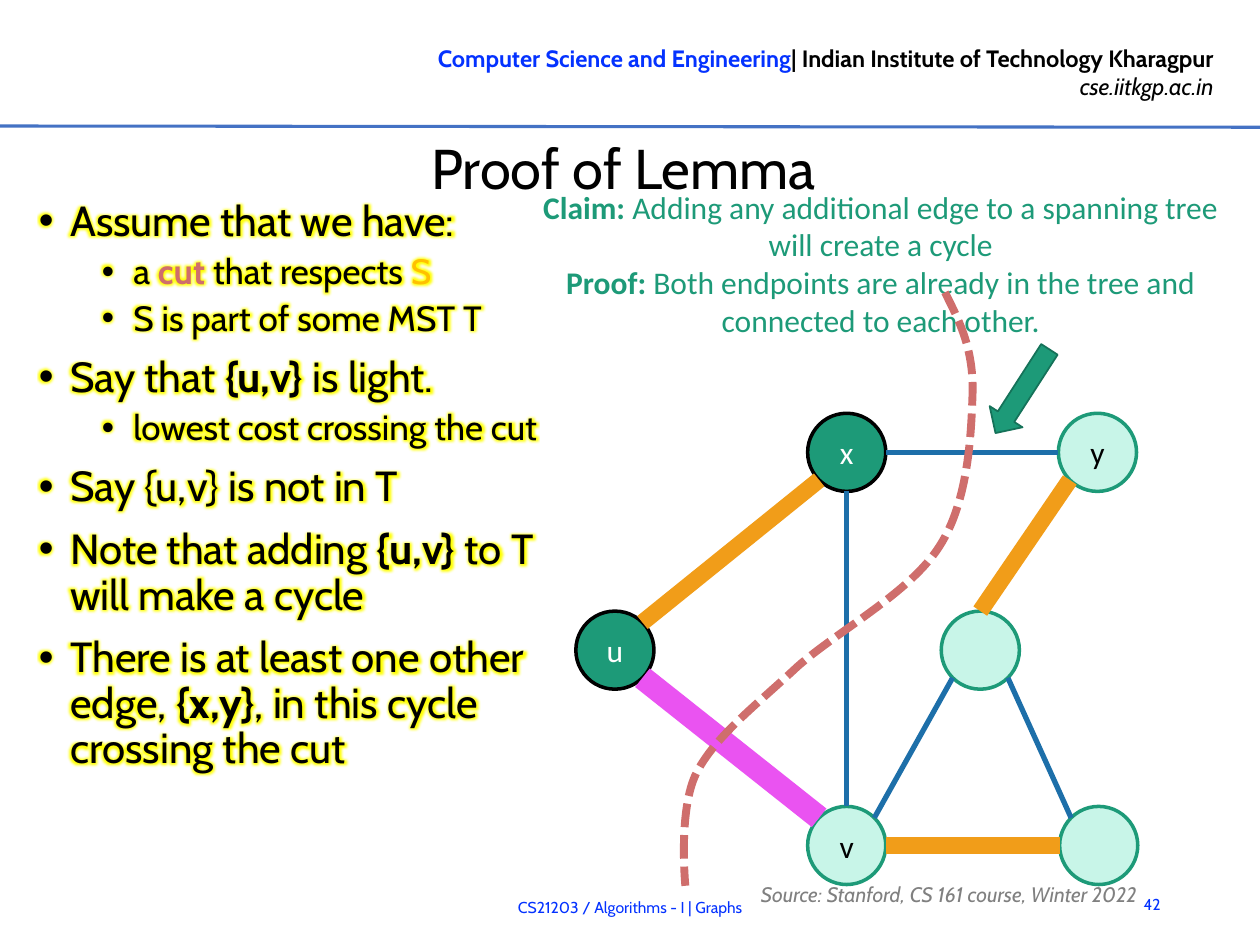
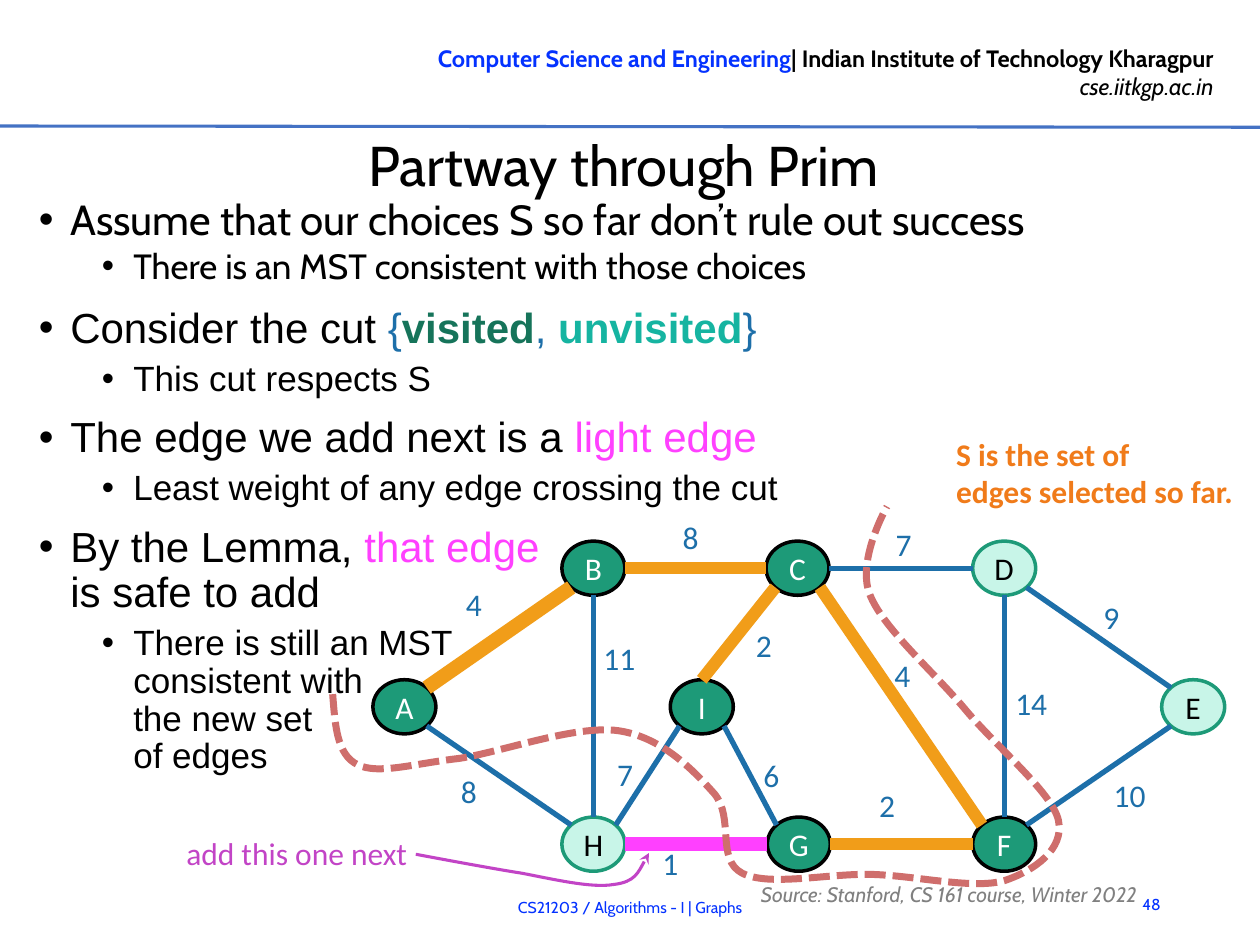
from dataclasses import dataclass
from typing import NamedTuple

from lxml.etree import SubElement
from pptx import Presentation
from pptx.dml.color import RGBColor
from pptx.enum.dml import MSO_LINE
from pptx.enum.shapes import MSO_CONNECTOR, MSO_SHAPE
from pptx.enum.text import MSO_ANCHOR as Anchor, PP_ALIGN as Align
from pptx.oxml.ns import qn
from pptx.util import Inches, Pt

# Shared palette and fonts
BLACK, WHITE, GREY = "000000", "FFFFFF", "808080"
LINK_BLUE, RULE_BLUE, EDGE_BLUE = "0432FF", "4472C4", "1D6FA9"
GREEN, DARK_GREEN, MINT, TEAL = "1D9A78", "157259", "C8F5E8", "16B4A1"
ORANGE, ROSE, PINK, PURPLE = "F19D19", "CF6E6C", "FF40FF", "C244C6"
VIOLET, GLOW_YELLOW = "EA53F1", "FFFF00"
CABIN, CALIBRI, ARIAL = "Cabin", "Calibri", "Arial"
DIAGONAL = 0.7071
COMPASS = {"n": (0, -1), "s": (0, 1), "w": (-1, 0), "e": (1, 0)}


class Run(NamedTuple):
    text: str
    color: str | None = None
    bold: bool = False


@dataclass
class Bullet:
    runs: list[Run]
    level: int = 0
    font: str = CABIN
    exact: bool = False


class Node(NamedTuple):
    x: float
    y: float
    visited: bool = False
    label: str = ""


class Edge(NamedTuple):
    start: str
    start_side: str
    end: str
    end_side: str
    color: str = EDGE_BLUE
    width: float = 3


class Label(NamedTuple):
    text: str
    x: float
    y: float


def rgb(color: str) -> RGBColor:
    return RGBColor.from_string(color)


# Text
def add_glow(run) -> None:
    effects = SubElement(run._r.get_or_add_rPr(), qn("a:effectLst"))
    glow = SubElement(effects, qn("a:glow"), rad=str(Pt(5)))
    SubElement(glow, qn("a:srgbClr"), val=GLOW_YELLOW)
    run.font._element.find(qn("a:solidFill")).addnext(effects)


def write_runs(paragraph, runs, *, size, font=CABIN, color=BLACK, italic=False, glow=False):
    for part in runs:
        for index, text in enumerate(part.text.split("\n")):
            if index:
                paragraph.add_line_break()
            if not text:
                continue
            run = paragraph.add_run()
            run.text = text
            run.font.size, run.font.name = Pt(size), font
            run.font.bold, run.font.italic = part.bold, italic
            run.font.color.rgb = rgb(part.color or color)
            if glow:
                add_glow(run)


def add_box(slide, box, *, anchor=Anchor.TOP):
    shape = slide.shapes.add_textbox(*map(Inches, box))
    shape.text_frame.word_wrap = True
    shape.text_frame.vertical_anchor = anchor
    return shape.text_frame


def next_paragraph(frame, index: int):
    return frame.add_paragraph() if index else frame.paragraphs[0]


def add_text(slide, box, lines, *, align=Align.LEFT, anchor=Anchor.TOP, spacing=None, **style):
    """Write lines, each a string or a list of runs, in one style."""
    frame = add_box(slide, box, anchor=anchor)
    for index, line in enumerate(lines):
        paragraph = next_paragraph(frame, index)
        paragraph.alignment = align
        if spacing:
            paragraph.line_spacing = Pt(spacing)
        write_runs(paragraph, [Run(line)] if isinstance(line, str) else line, **style)
    return frame


def add_bullets(slide, box, bullets: list[Bullet], *, glow: bool = False) -> None:
    frame = add_box(slide, box)
    for index, bullet in enumerate(bullets):
        paragraph = next_paragraph(frame, index)
        properties = paragraph._p.get_or_add_pPr()
        properties.set("marL", str(Inches(0.25 + 0.5 * bullet.level)))
        properties.set("indent", str(Inches(-0.25)))
        SubElement(properties, qn("a:buFont"), typeface=ARIAL)
        SubElement(properties, qn("a:buChar"), char="•")
        paragraph.line_spacing = Pt(20) if bullet.exact else 0.9
        if index:
            paragraph.space_before = Pt(2 if bullet.exact else 5 if bullet.level else 10)
        if bullet.exact:
            paragraph.space_after = Pt(2)
        size = 20 if bullet.level else 24
        write_runs(paragraph, bullet.runs, size=size, font=bullet.font, glow=glow)


# Lines and shapes
def add_line(slide, start, end, color: str, width: float) -> None:
    line = slide.shapes.add_connector(MSO_CONNECTOR.STRAIGHT, *map(Inches, (*start, *end)))
    line.line.color.rgb, line.line.width = rgb(color), Pt(width)
    SubElement(line._element.spPr, qn("a:effectLst"))


def add_shape(slide, kind, box, fill: str, outline: str, width: float):
    shape = slide.shapes.add_shape(kind, *map(Inches, box))
    shape.shadow.inherit = False
    shape.fill.solid()
    shape.fill.fore_color.rgb = rgb(fill)
    shape.line.color.rgb, shape.line.width = rgb(outline), Pt(width)
    return shape


def add_curve(slide, points, color: str, width: float, *, dashed=False, head=False) -> None:
    """Draw a Bezier curve: a start point, then three points per segment."""
    start, *rest = [(Inches(x), Inches(y)) for x, y in points]
    builder = slide.shapes.build_freeform(*start, scale=1.0)
    builder.add_line_segments(rest, close=False)
    shape = builder.convert_to_shape()
    shape.shadow.inherit = False
    shape.fill.background()
    shape.line.color.rgb, shape.line.width = rgb(color), Pt(width)
    if dashed:
        shape.line.dash_style = MSO_LINE.SQUARE_DOT
    if head:
        SubElement(shape.line._get_or_add_ln(), qn("a:headEnd"), type="stealth")
    outline = shape._element.find(".//" + qn("a:path"))
    for index, segment in enumerate(outline.findall(qn("a:lnTo"))):
        if index % 3 == 0:
            cubic = SubElement(outline, qn("a:cubicBezTo"))
        cubic.append(segment[0])
        outline.remove(segment)


# Graphs
def draw_graph(slide, nodes: dict[str, Node], edges: list[Edge], width, height) -> None:
    def site(name: str, side: str) -> tuple[float, float]:
        node, reach = nodes[name], DIAGONAL if len(side) == 2 else 1
        step_x = sum(COMPASS[letter][0] for letter in side)
        step_y = sum(COMPASS[letter][1] for letter in side)
        return node.x + step_x * reach * width / 2, node.y + step_y * reach * height / 2

    for node in nodes.values():
        fill, outline, color = (GREEN, BLACK, WHITE) if node.visited else (MINT, GREEN, BLACK)
        box = (node.x - width / 2, node.y - height / 2, width, height)
        shape = add_shape(slide, MSO_SHAPE.OVAL, box, fill, outline, 2)
        if node.label:
            frame = shape.text_frame
            frame.word_wrap, frame.vertical_anchor = False, Anchor.MIDDLE
            frame.paragraphs[0].alignment = Align.CENTER
            write_runs(frame.paragraphs[0], [Run(node.label)], size=18, font=CALIBRI, color=color)
    for edge in edges:
        add_line(slide, site(edge.start, edge.start_side), site(edge.end, edge.end_side),
                 edge.color, edge.width)


# Header, title and footers of every slide
def add_base_slide(presentation, title: str, title_top: float, number: int):
    slide = presentation.slides.add_slide(presentation.slide_layouts[6])
    header = [Run("Computer Science and Engineering", LINK_BLUE, True),
              Run("| Indian Institute of Technology Kharagpur", BLACK, True)]
    frame = add_text(slide, (2.65, 0.3, 7.08, 0.56), [header], align=Align.RIGHT, size=13.5)
    site_line = frame.add_paragraph()
    site_line.alignment = Align.RIGHT
    write_runs(site_line, [Run("cse.iitkgp.ac.in")], size=13.5, italic=True)
    add_line(slide, (0, 1), (10, 1.01), RULE_BLUE, 1.75)
    frame = add_text(slide, (0.32, title_top, 9.26, 0.55), [title], align=Align.CENTER,
                     anchor=Anchor.MIDDLE, size=32)
    frame.margin_left = frame.margin_right = frame.margin_bottom = 0
    frame.margin_top = Inches(0.01)
    footer = dict(anchor=Anchor.MIDDLE, size=9, color=LINK_BLUE)
    add_text(slide, (1.65, 7, 6.7, 0.4), ["CS21203 / Algorithms - I | Graphs"],
             align=Align.CENTER, **footer)
    add_text(slide, (8.82, 6.98, 0.49, 0.4), [str(number)], align=Align.RIGHT, **footer)
    add_text(slide, (5.94, 6.93, 4.02, 0.23), ["Source: Stanford, CS 161 course, Winter 2022"],
             anchor=Anchor.MIDDLE, spacing=21.3, size=12, color=GREY, italic=True)
    return slide


def build_lemma_slide(presentation) -> None:
    slide = add_base_slide(presentation, "Proof of Lemma", 1.05, 42)
    add_bullets(slide, (0.21, 1.54, 9.37, 2.03), [
        Bullet([Run("Assume that we have:")]),
        Bullet([Run("a "), Run("cut ", ROSE, True), Run("that respects"), Run(" S", "FFC000")], 1),
        Bullet([Run("S is part of some MST T")], 1),
        Bullet([Run("Say that "), Run("{u,v}", bold=True), Run(" is light.")]),
        Bullet([Run("lowest cost crossing the cut")], 1),
        Bullet([Run("Say {u,v} is not in T")]),
        Bullet([Run("Note that adding "), Run("{u,v}", bold=True),
                Run(" to T\nwill make a cycle")]),
        Bullet([Run("There is at least one other\nedge, "), Run("{x,y}", bold=True),
                Run(", in this cycle\ncrossing the cut")]),
    ], glow=True)
    claim = "Adding any additional edge to a spanning tree will create a cycle"
    proof = "Both endpoints are already in the tree and connected to each other."
    add_text(slide, (4.05, 1.44, 5.88, 1.31),
             [[Run("Claim: ", bold=True), Run(claim)], [Run("Proof: ", bold=True), Run(proof)]],
             align=Align.CENTER, size=18, font=CALIBRI, color=GREEN)
    nodes = {
        "y": Node(8.71, 3.59, label="y"), "x": Node(6.72, 3.59, True, "x"),
        "u": Node(4.88, 5.16, True, "u"), "v": Node(6.72, 6.71, label="v"),
        "corner": Node(8.72, 6.71), "middle": Node(7.78, 5.16),
    }
    edges = [
        Edge("middle", "se", "corner", "nw"), Edge("middle", "n", "y", "sw", ORANGE, 9.5),
        Edge("x", "e", "y", "w"), Edge("u", "ne", "x", "sw", ORANGE, 9.5),
        Edge("u", "se", "v", "nw", VIOLET, 13.5), Edge("corner", "w", "v", "e", ORANGE, 9.5),
        Edge("middle", "sw", "v", "ne"), Edge("v", "n", "x", "s"),
    ]
    draw_graph(slide, nodes, edges, 0.62, 0.62)
    cut = [(7.5, 2.32), (7.61, 2.54), (7.72, 2.75), (7.72, 3.09), (7.71, 3.43), (7.69, 3.97),
           (7.46, 4.33), (7.23, 4.7), (6.66, 5), (6.33, 5.29), (6.01, 5.59), (5.68, 5.84),
           (5.53, 6.13), (5.38, 6.42), (5.44, 7.03), (5.44, 7.03)]
    add_curve(slide, cut, ROSE, 4.5, dashed=True)
    pointer = add_shape(slide, MSO_SHAPE.LEFT_ARROW, (7.72, 2.95, 0.79, 0.31),
                        GREEN, DARK_GREEN, 1)
    pointer.rotation = 302.8


def build_prim_slide(presentation) -> None:
    slide = add_base_slide(presentation, "Partway through Prim", 1.02, 48)
    add_bullets(slide, (0.21, 1.61, 9.37, 2.43), [
        Bullet([Run("Assume that our choices S so far don’t rule out success")], exact=True),
        Bullet([Run("There is an MST consistent with those choices")], 1, exact=True),
        Bullet([Run("Consider the cut "), Run("{", EDGE_BLUE), Run("visited", "16745A", True),
                Run(", ", EDGE_BLUE), Run("unvisited", TEAL, True), Run("}", EDGE_BLUE)],
               font=ARIAL),
        Bullet([Run("This cut respects S")], 1, ARIAL),
        Bullet([Run("The edge we add next is a "), Run("light edge", PINK)], font=ARIAL),
        Bullet([Run("Least weight of any edge crossing the cut")], 1, ARIAL),
        Bullet([Run("By the Lemma, "), Run("that edge\n", PINK), Run("is safe to add")],
               font=ARIAL),
        Bullet([Run("There is still an MST\nconsistent with\nthe new set\nof edges")], 1, ARIAL),
    ])
    top, middle, bottom = 4.51, 5.61, 6.7
    places = {"A": (3.21, middle), "B": (4.71, top), "C": (6.33, top), "D": (7.97, top),
              "E": (9.47, middle), "F": (7.97, bottom), "G": (6.34, bottom),
              "H": (4.71, bottom), "I": (5.57, middle)}
    nodes = {name: Node(x, y, name in "ABCFGI", name) for name, (x, y) in places.items()}
    edges = [
        Edge("C", "se", "F", "nw", ORANGE, 7), Edge("C", "e", "D", "w"),
        Edge("E", "nw", "D", "se"), Edge("E", "sw", "F", "ne"), Edge("D", "s", "F", "n"),
        Edge("I", "se", "G", "nw"), Edge("G", "e", "F", "w", ORANGE, 7),
        Edge("I", "n", "C", "sw", ORANGE, 7), Edge("B", "e", "C", "w", ORANGE, 7),
        Edge("A", "ne", "B", "sw", ORANGE, 8.25), Edge("A", "se", "H", "nw"),
        Edge("G", "w", "H", "e", PINK, 8), Edge("I", "sw", "H", "ne"), Edge("H", "n", "B", "s"),
    ]
    draw_graph(slide, nodes, edges, 0.5, 0.43)
    weights = [
        Label("7", 7.01, 4.12), Label("8", 5.32, 4.06), Label("9", 8.66, 4.7),
        Label("10", 8.74, 6.11), Label("14", 7.96, 5.38), Label("4", 7, 5.16),
        Label("2", 6.88, 6.19), Label("2", 5.9, 4.92), Label("1", 5.16, 6.65),
        Label("7", 4.8, 5.94), Label("6", 5.96, 5.95), Label("8", 3.56, 6.08),
        Label("11", 4.69, 5.02), Label("4", 3.6, 4.59),
    ]
    for weight in weights:
        add_text(slide, (weight.x, weight.y, 0.7, 0.36), [weight.text],
                 size=18, font=CALIBRI, color=EDGE_BLUE)
    note = [[Run("S is the set of", bold=True)], [Run("edges selected so far.", bold=True)]]
    add_text(slide, (7.49, 3.4, 2.51, 0.71), note, size=18, font=CALIBRI, color="F07B1A")
    cut = [(2.64, 5.51), (2.66, 5.75), (2.67, 5.99), (2.84, 6.07), (3, 6.15), (3.29, 6.06),
           (3.64, 6.02), (3.98, 5.97), (4.57, 5.75), (4.91, 5.8), (5.25, 5.85), (5.5, 6.11),
           (5.67, 6.3), (5.83, 6.49), (5.68, 6.82), (5.89, 6.93), (6.1, 7.04), (6.58, 6.93),
           (6.92, 6.94), (7.27, 6.95), (7.72, 7.06), (7.97, 6.99), (8.21, 6.91), (8.45, 6.74),
           (8.4, 6.51), (8.35, 6.29), (7.91, 5.93), (7.66, 5.63), (7.41, 5.33), (7, 4.98),
           (6.9, 4.71), (6.8, 4.44), (7.04, 4.02), (7.04, 4.02)]
    add_curve(slide, cut, ROSE, 4, dashed=True)
    add_text(slide, (1.38, 6.57, 2.21, 0.4), ["add this one next"],
             size=18, font=CALIBRI, color=PURPLE)
    pointer = [(5.15, 6.77), (5.09, 6.88), (5.04, 7), (4.87, 7.02), (4.7, 7.05), (4.4, 6.98),
               (4.14, 6.93), (3.88, 6.89), (3.3, 6.78), (3.3, 6.78)]
    add_curve(slide, pointer, PURPLE, 1.75, head=True)


def main() -> None:
    presentation = Presentation()
    presentation.slide_width, presentation.slide_height = Inches(10), Inches(7.5)
    build_lemma_slide(presentation)
    build_prim_slide(presentation)
    presentation.save("out.pptx")


if __name__ == "__main__":
    main()
